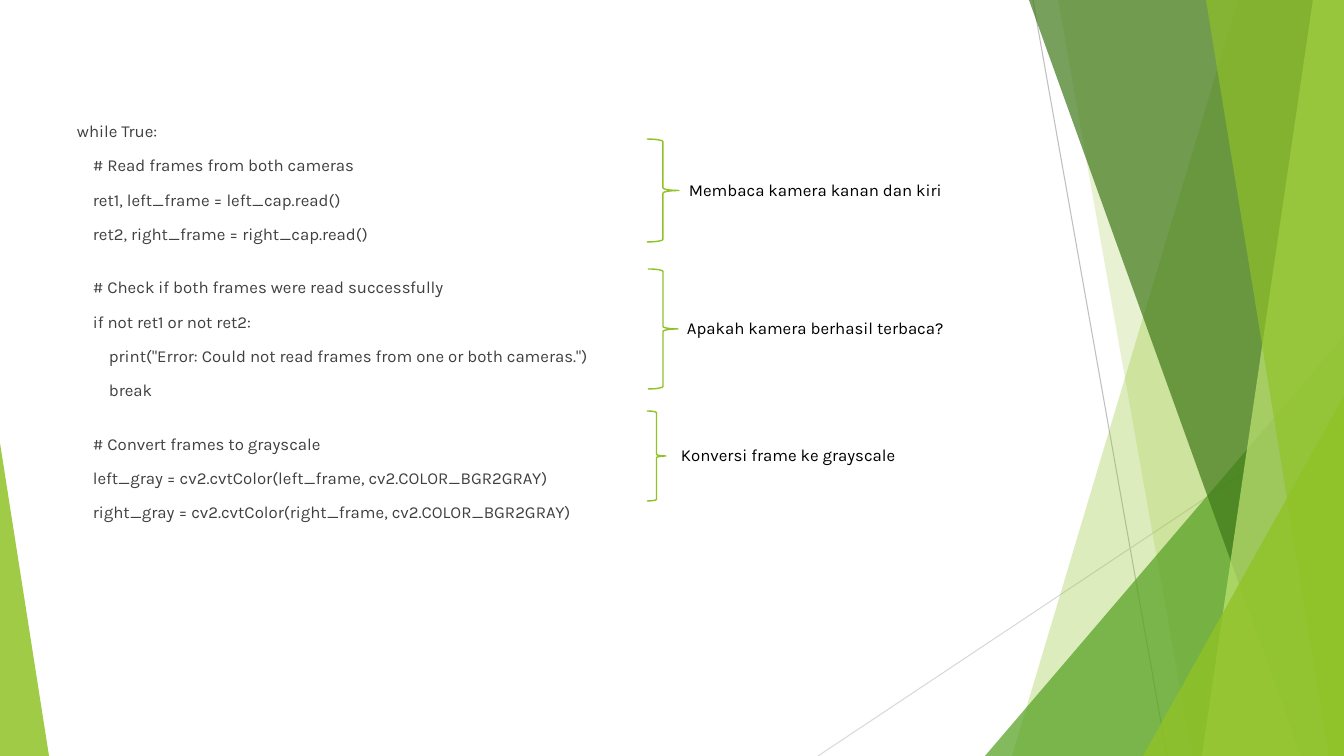
import pptx
import pptx.util
import pptx.dml.color
import pptx.enum.shapes
import pptx.enum.text
import pptx.oxml.ns
from lxml import etree

W, H = 1344, 756
PX = 12192000 / W
GREEN = "90C226"

# Content: code blocks as (indent level, line)
CODE = [
    [(0, "while True:"),
     (1, "# Read frames from both cameras"),
     (1, "ret1, left_frame = left_cap.read()"),
     (1, "ret2, right_frame = right_cap.read()")],
    [(1, "# Check if both frames were read successfully"),
     (1, "if not ret1 or not ret2:"),
     (2, 'print("Error: Could not read frames from one or both cameras.")'),
     (2, "break")],
    [(1, "# Convert frames to grayscale"),
     (1, "left_gray = cv2.cvtColor(left_frame, cv2.COLOR_BGR2GRAY)"),
     (1, "right_gray = cv2.cvtColor(right_frame, cv2.COLOR_BGR2GRAY)")],
]
# Brace box, label left and top, label
NOTES = [
    ((647, 139, 32, 103), (679, 175), "Membaca kamera kanan dan kiri"),
    ((648, 269, 30, 120), (677, 313), "Apakah kamera berhasil terbaca?"),
    ((647, 411, 19, 90), (671, 440), "Konversi frame ke grayscale"),
]
# Decoration, back to front
LINES = [((1033, 0, 1167, H), "BFBFBF"), ((W, 406, 818, H), "D9D9D9")]
# Bands run from a slanted left side to the right edge: top x, bottom x
# Triangles: left, top, right, apex position
FACETS = [
    ("band", (1238, 1012), GREEN, 30),
    ("band", (1058, 1192), GREEN, 20),
    ("triangle", (985, 336, W, 1), "54A021", 72),
    ("band", (1029, 1301), "3F7819", 70),
    ("band", (1313, 1202), "C0E474", 70),
    ("band", (1206, 1329), GREEN, 65),
    ("triangle", (1143, 396, W, 1), GREEN, 80),
    ("triangle", (0, 443, 49, 0), GREEN, 85),
]

prs = pptx.Presentation()
prs.slide_width, prs.slide_height = 12192000, 6858000
s = prs.slides.add_slide(prs.slide_layouts[6])
SHAPE = pptx.enum.shapes.MSO_SHAPE


def emu(*lengths):
    return [round(v * PX) for v in lengths]


def rgb(color):
    return pptx.dml.color.RGBColor.from_string(color)


def add_line(ends, color):
    line = s.shapes.add_connector(
        pptx.enum.shapes.MSO_CONNECTOR.STRAIGHT, *emu(*ends))
    line.line.color.rgb = rgb(color)
    line.line.width = pptx.util.Pt(0.75)
    etree.SubElement(line._element.spPr, pptx.oxml.ns.qn("a:effectLst"))


def add_facet(kind, geometry, color, opacity):
    if kind == "band":
        top, bottom = geometry
        outline = s.shapes.build_freeform(*emu(top, 0), scale=1.0)
        outline.add_line_segments(
            [emu(W, 0), emu(W, H), emu(bottom, H)], close=True)
        sp = outline.convert_to_shape()
    else:
        left, top, right, apex = geometry
        sp = s.shapes.add_shape(SHAPE.ISOSCELES_TRIANGLE,
                                *emu(left, top, right - left, H - top))
        sp.adjustments[0] = apex
    sp.shadow.inherit = False
    sp.line.fill.background()
    sp.fill.solid()
    sp.fill.fore_color.rgb = rgb(color)
    clr = sp._element.spPr.find(".//" + pptx.oxml.ns.qn("a:srgbClr"))
    etree.SubElement(clr, pptx.oxml.ns.qn("a:alpha"), val=str(opacity * 1000))


def add_brace(box):
    sp = s.shapes.add_shape(SHAPE.RIGHT_BRACE, *emu(*box))
    sp.shadow.inherit = False
    sp.fill.background()
    sp.line.color.rgb = rgb(GREEN)
    sp.line.width = pptx.util.Pt(1)


def add_frame(*box):
    tf = s.shapes.add_textbox(*emu(*box)).text_frame
    tf.word_wrap = True
    return tf


def write(p, text, color="000000", size=12, font="Karla", before=0, indent=0):
    p.space_before = pptx.util.Pt(before)
    if indent:
        p._p.get_or_add_pPr().set("marL", str(emu(indent)[0]))
    r = p.add_run()
    r.text = text
    r.font.name = font
    r.font.size = pptx.util.Pt(size)
    r.font.color.rgb = rgb(color)


# Background decoration
for ends, color in LINES:
    add_line(ends, color)
for facet in FACETS:
    add_facet(*facet)

# Code listing, with a wider gap before each later block
tf = add_frame(67, 116, 948, 444)
for b, block in enumerate(CODE):
    for i, (level, text) in enumerate(block):
        first = b == 0 and i == 0
        p = tf.paragraphs[0] if first else tf.add_paragraph()
        write(p, text, color="404040", indent=16 * level,
              before=24 if b and i == 0 else 10)

# Braces and their labels
for box, _, _ in NOTES:
    add_brace(box)
for _, (left, top), text in NOTES:
    tf = add_frame(left, top, 350, 30)
    tf.auto_size = pptx.enum.text.MSO_AUTO_SIZE.SHAPE_TO_FIT_TEXT
    write(tf.paragraphs[0], text)

prs.save("out.pptx")
